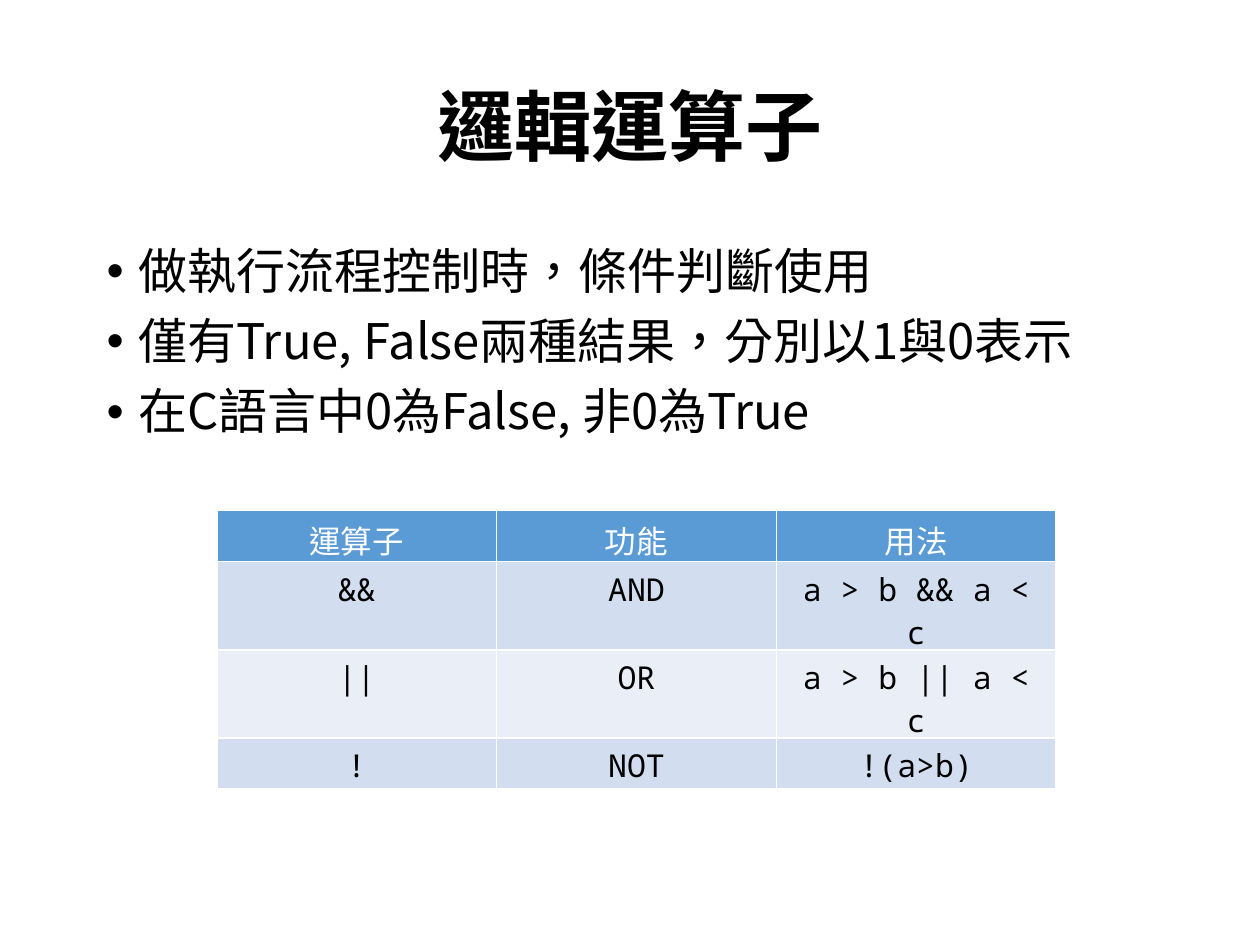
from lxml.etree import SubElement
from pptx import Presentation
from pptx.dml.color import RGBColor as RGB
from pptx.enum.text import MSO_ANCHOR as Anchor, MSO_AUTO_SIZE as AutoSize, PP_ALIGN as Align
from pptx.oxml.ns import qn
from pptx.util import Cm, Pt

# Content
TITLE = "邏輯運算子"
BULLETS = [
    "做執行流程控制時，條件判斷使用",
    "僅有True, False兩種結果，分別以1與0表示",
    "在C語言中0為False, 非0為True",
]
OPERATORS = [
    ("運算子", "功能", "用法"),
    ("&&", "AND", "a > b && a < c"),
    ("||", "OR", "a > b || a < c"),
    ("!", "NOT", "!(a>b)"),
]
COLORS = {"text": "000000", "header_text": "FFFFFF", "header": "5B9BD5",
          "odd": "D2DEEF", "even": "EAEFF7"}
CJK_FONT = "Noto Sans CJK SC"
COLUMN_WIDTH, ROW_HEIGHT = Cm(5.64), Cm(1.03)


def write(paragraph, text, *, size, font, color="text", bold=False,
          align=Align.LEFT, line_spacing=None, space_before=0):
    """Put one formatted run of Traditional Chinese text in a paragraph."""
    paragraph.alignment = align
    paragraph.space_before = Pt(space_before)
    if line_spacing:
        paragraph.line_spacing = line_spacing
    run = paragraph.add_run()
    run.text = text
    run.font.size = Pt(size)
    run.font.bold = bold
    run.font.name = font
    run.font.color.rgb = RGB.from_string(COLORS[color])
    properties = run.font._element
    properties.set("lang", "zh-TW")
    east_asian = SubElement(properties, qn("a:ea"))
    east_asian.set("typeface", CJK_FONT)


def add_bullet(paragraph, indent):
    properties = paragraph._p.get_or_add_pPr()
    properties.set("marL", str(indent))
    properties.set("indent", str(-indent))
    SubElement(properties, qn("a:buFont")).set("typeface", "Arial")
    SubElement(properties, qn("a:buChar")).set("char", "•")


presentation = Presentation()
presentation.slide_width, presentation.slide_height = Cm(25.4), Cm(19.05)
slide = presentation.slides.add_slide(presentation.slide_layouts[5])

# Title
title = slide.shapes.title
title.left, title.top, title.width, title.height = Cm(1.9), Cm(0.8), Cm(21.6), Cm(3.68)
title.text_frame.auto_size = AutoSize.NONE
title.text_frame.vertical_anchor = Anchor.MIDDLE
write(title.text_frame.paragraphs[0], TITLE, size=44, font="Arial", bold=True,
      align=Align.CENTER, line_spacing=0.9)

# Bulleted text
body = slide.shapes.add_textbox(Cm(1.9), Cm(4.85), Cm(21.6), Cm(12.32)).text_frame
body.word_wrap = True
for index, text in enumerate(BULLETS):
    paragraph = body.add_paragraph() if index else body.paragraphs[0]
    add_bullet(paragraph, Cm(0.64))
    write(paragraph, text, size=28, font=CJK_FONT, line_spacing=0.9,
          space_before=10 if index else 0)

# Operator table; the default table style draws the white borders
row_count, column_count = len(OPERATORS), len(OPERATORS[0])
table = slide.shapes.add_table(row_count, column_count, Cm(4.37), Cm(10.29),
                               COLUMN_WIDTH * column_count, ROW_HEIGHT * row_count).table
for row_index, row in enumerate(OPERATORS):
    is_header = row_index == 0
    fill = "header" if is_header else "odd" if row_index % 2 else "even"
    for column_index, text in enumerate(row):
        cell = table.cell(row_index, column_index)
        cell.fill.solid()
        cell.fill.fore_color.rgb = RGB.from_string(COLORS[fill])
        write(cell.text_frame.paragraphs[0], text, size=18, align=Align.CENTER,
              font="Calibri" if is_header else "Noto Sans Mono",
              color="header_text" if is_header else "text")

presentation.save("out.pptx")
